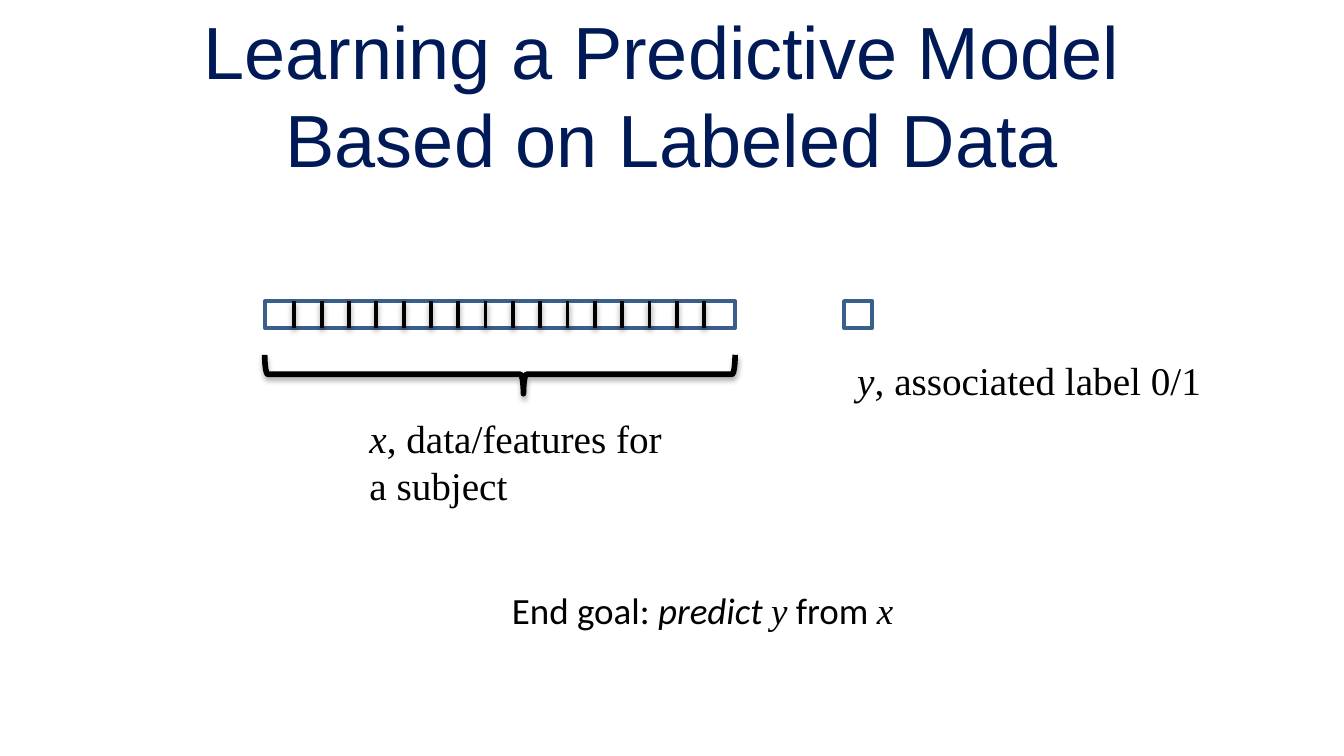
from lxml import etree
from pptx import Presentation
from pptx.dml.color import RGBColor
from pptx.enum import shapes, text
from pptx.oxml import ns
from pptx.util import Inches, Pt

COLORS = {"title": "001A57", "ink": "000000", "box": "3A5F8C"}
SERIF = "Times New Roman"

# Each line is a list of (text, font, italic) runs.
TITLE = [
    [("Learning a Predictive Model ", "Arial", False)],
    [("Based on Labeled Data", "Arial", False)],
]
FEATURES_LABEL = [[("x", SERIF, True), (", data/features for a subject", SERIF, False)]]
TARGET_LABEL = [[("y", SERIF, True), (", associated label 0/1", SERIF, False)]]
GOAL = [[
    ("End goal: ", "Calibri", False),
    ("predict ", "Calibri", True),
    ("y", SERIF, True),
    (" from ", "Calibri", False),
    ("x", SERIF, True),
]]

SLIDE_WIDTH = 10
SLIDE_HEIGHT = SLIDE_WIDTH * 9 / 16
ROW_LEFT, ROW_TOP, ROW_WIDTH, CELL_HEIGHT = 1.97, 2.24, 3.5, 0.2
DIVIDER_COUNT, FIRST_DIVIDER, LAST_DIVIDER = 16, 2.19, 5.24
TARGET_LEFT, TARGET_WIDTH = 6.28, 0.21
BRACE_TOP, BRACE_DEPTH = 2.64, 0.29


def color(name):
    return RGBColor.from_string(COLORS[name])


def set_effects(shape, shadow=None):
    """Give the shape a downward shadow (opacity %, blur pt, distance pt), or none."""
    properties = shape._element.spPr
    effects = etree.SubElement(properties, ns.qn("a:effectLst"))
    if shadow:
        opacity, blur, distance = shadow
        outer = etree.SubElement(
            effects, ns.qn("a:outerShdw"), blurRad=str(Pt(blur)),
            dist=str(Pt(distance)), dir="5400000", rotWithShape="0")
        ink = etree.SubElement(outer, ns.qn("a:srgbClr"), val=COLORS["ink"])
        etree.SubElement(ink, ns.qn("a:alpha"), val=str(opacity * 1000))


def add_outline(container, kind, left, top, width, height, line, weight, shadow=None):
    shape = container.add_shape(
        kind, Inches(left), Inches(top), Inches(width), Inches(height))
    shape.fill.background()
    shape.line.color.rgb = color(line)
    shape.line.width = Pt(weight)
    set_effects(shape, shadow)
    return shape


def add_divider(container, x):
    divider = container.add_connector(
        shapes.MSO_CONNECTOR.STRAIGHT, Inches(x), Inches(ROW_TOP),
        Inches(x), Inches(ROW_TOP + CELL_HEIGHT))
    divider.line.color.rgb = color("ink")
    divider.line.width = Pt(2)
    set_effects(divider, (38, 3.1, 1.6))


def add_text(slide, lines, left, top, width, height, size, ink="ink", wrap=True,
             align=text.PP_ALIGN.LEFT, anchor=text.MSO_ANCHOR.TOP):
    box = slide.shapes.add_textbox(
        Inches(left), Inches(top), Inches(width), Inches(height))
    frame = box.text_frame
    frame.word_wrap = wrap
    frame.vertical_anchor = anchor
    paragraph = frame.paragraphs[0]
    paragraph.alignment = align
    for index, line in enumerate(lines):
        if index:
            paragraph.add_line_break()
        for words, font, italic in line:
            run = paragraph.add_run()
            run.text = words
            run.font.name = font
            run.font.size = Pt(size)
            run.font.italic = italic
            run.font.color.rgb = color(ink)


def add_feature_row(slide):
    row = slide.shapes.add_group_shape().shapes
    add_outline(row, shapes.MSO_SHAPE.RECTANGLE, ROW_LEFT, ROW_TOP,
                ROW_WIDTH, CELL_HEIGHT, "box", 2)
    step = (LAST_DIVIDER - FIRST_DIVIDER) / (DIVIDER_COUNT - 1)
    for index in range(DIVIDER_COUNT):
        add_divider(row, FIRST_DIVIDER + index * step)


def add_brace(slide):
    """Turn an upright brace so that it spans the feature row from below."""
    left = ROW_LEFT + (ROW_WIDTH - BRACE_DEPTH) / 2
    top = BRACE_TOP + (BRACE_DEPTH - ROW_WIDTH) / 2
    brace = add_outline(slide.shapes, shapes.MSO_SHAPE.LEFT_BRACE, left, top,
                        BRACE_DEPTH, ROW_WIDTH, "ink", 3, (35, 3.1, 1.8))
    brace.rotation = 270
    brace.adjustments[0] = 0.08
    brace.adjustments[1] = 0.55


def main():
    presentation = Presentation()
    presentation.slide_width = Inches(SLIDE_WIDTH)
    presentation.slide_height = Inches(SLIDE_HEIGHT)
    slide = presentation.slides.add_slide(presentation.slide_layouts[6])

    add_feature_row(slide)
    add_outline(slide.shapes, shapes.MSO_SHAPE.RECTANGLE, TARGET_LEFT, ROW_TOP,
                TARGET_WIDTH, CELL_HEIGHT, "box", 2)
    add_brace(slide)
    add_text(slide, FEATURES_LABEL, 2.65, 3.03, 2.45, 0.81, 21)
    add_text(slide, TARGET_LABEL, TARGET_LEFT, 2.6, 2.82, 0.45, 21)
    add_text(slide, TITLE, 0.5, 0.23, 9, 0.94, 39.6, ink="title",
             align=text.PP_ALIGN.CENTER, anchor=text.MSO_ANCHOR.MIDDLE)
    add_text(slide, GOAL, 3.71, 4.32, 3.12, 0.43, 19.8, wrap=False)
    presentation.save("out.pptx")


if __name__ == "__main__":
    main()
